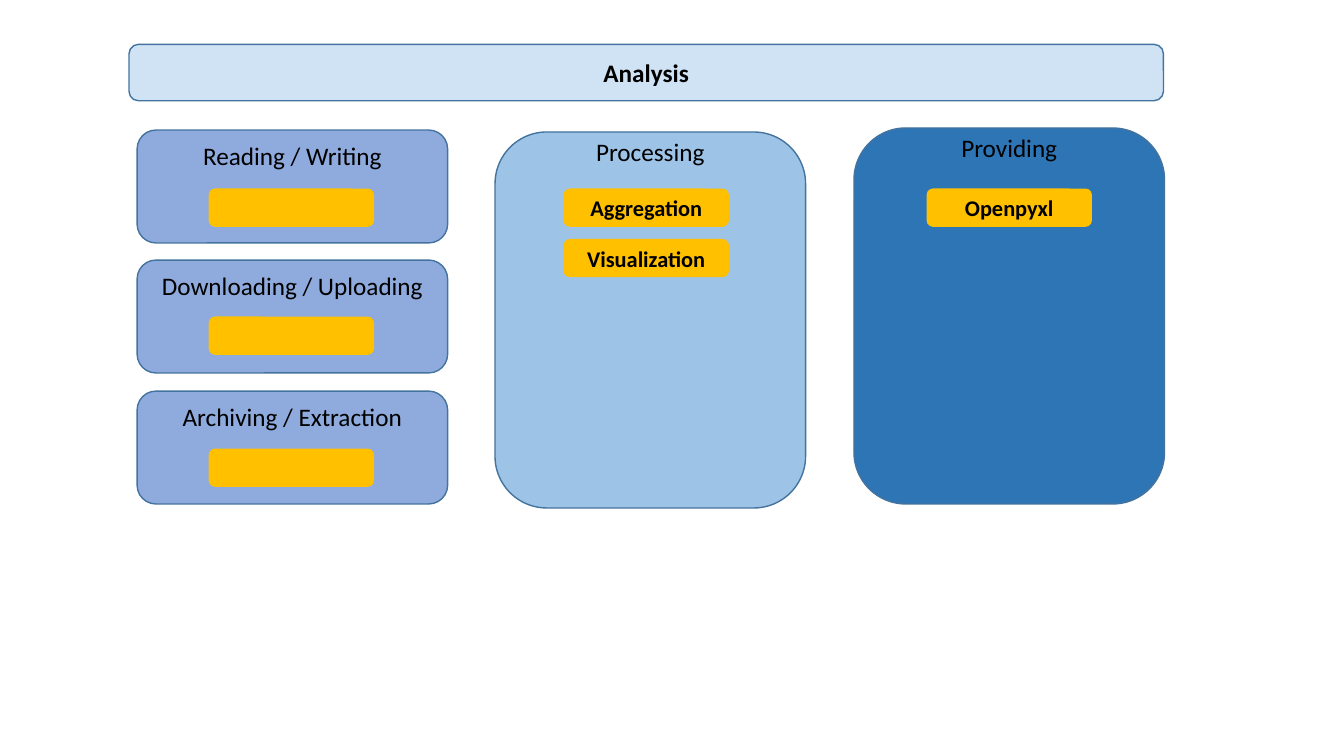
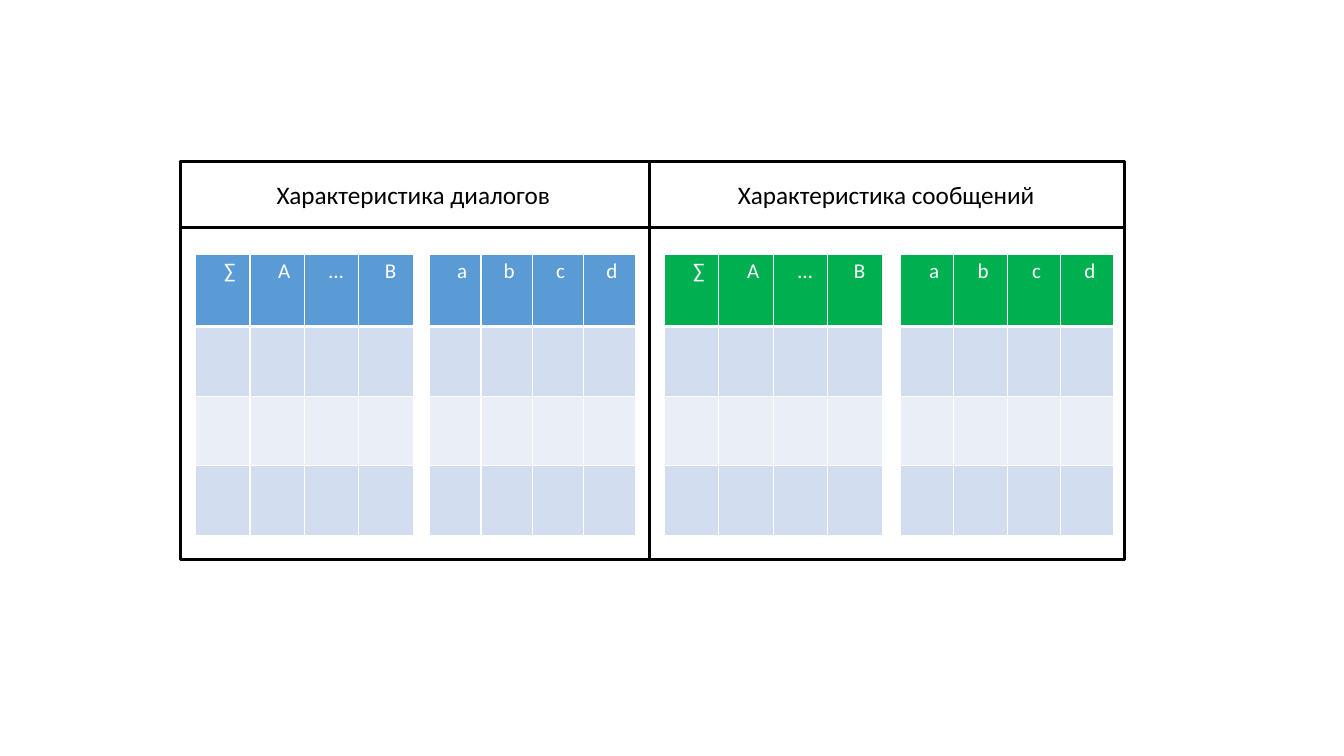
from lxml.etree import SubElement as Sub
from pptx import Presentation
from pptx.dml.color import RGBColor as Rgb
from pptx.enum.shapes import MSO_SHAPE as Kind
from pptx.enum.text import MSO_ANCHOR as Anchor, PP_ALIGN as Align
from pptx.oxml.ns import qn
from pptx.util import Inches, Pt

HUES = {
    "black": "000000", "white": "FFFFFF", "edge": "43739E",
    "head": "D0E3F4", "card": "8FAADC", "sky": "9DC3E6", "deep": "2E75B6",
    "gold": "FFC000", "blue": "5B9BD5", "green": "00B050",
    "dark": "D2DEEF", "light": "EAEFF7",
}
BODY = {"name": "Calibri", "size": Pt(18), "bold": False}
TITLE = {**BODY, "bold": True}
CHIP = {**TITLE, "size": Pt(16)}
CELL = {**BODY, "size": Pt(15)}

WIDE = 3.08  # width of cards and panels
CARDS = [
    ("Reading / Writing", 1.29, 1.87),
    ("Downloading / Uploading", 2.58, 3.14),
    ("Archiving / Extraction", 3.88, 4.45),
]
PANELS = [
    ("Processing", 4.91, 1.31, "sky", 5.59, ["Aggregation", "Visualization"]),
    ("Providing", 8.47, 1.27, "deep", 9.19, ["Openpyxl"]),
]
# Header texts, each with its extra left margin
SUMS = [("∑", 0.14), ("A", 0.14), ("…", 0.09), ("B", 0.09)]
PARTS = [("a", 0.14), ("b", 0.05), ("c", 0.05), ("d", 0.05)]
GRIDS = [
    (1.94, 0.54, SUMS, "blue"), (4.26, 0.51, PARTS, "blue"),
    (6.59, 0.54, SUMS, "green"), (8.93, 0.53, PARTS, "green"),
]
ROWS = [0.72, 0.69, 0.69, 0.69]
BANDS = ["dark", "light", "dark"]


def hue(key):
    return Rgb.from_string(HUES[key])


def apply(item, form):
    for key, val in form.items():
        setattr(item, key, val)


def write(frame, text, font, color="black"):
    par = frame.paragraphs[0]
    par.alignment = Align.CENTER
    run = par.add_run()
    run.text = text
    apply(run.font, font)
    run.font.color.rgb = hue(color)


def box(slide, at, fill=None, line=None, width=1, kind=Kind.ROUNDED_RECTANGLE):
    shape = slide.shapes.add_shape(kind, *map(Inches, at))
    shape.shadow.inherit = False
    if fill:
        shape.fill.solid()
        shape.fill.fore_color.rgb = hue(fill)
    else:
        shape.fill.background()
    if line:
        shape.line.color.rgb = hue(line)
        shape.line.width = Pt(width)
    else:
        shape.line.fill.background()
    return shape


def label(slide, text, left, top, width):
    frame = slide.shapes.add_textbox(
        *map(Inches, (left, top, width, 0.4))).text_frame
    frame.word_wrap = True
    write(frame, text, BODY)


def chip(slide, left, top, text=None):
    shape = box(slide, (left, top, 1.64, 0.38), "gold")
    if text:
        write(shape.text_frame, text, CHIP)


def card(slide, text, top):
    frame = box(slide, (1.36, top, WIDE, 1.12), "card", "edge").text_frame
    apply(frame, {"vertical_anchor": Anchor.TOP, "margin_top": Inches(0.05)})
    write(frame, text, BODY)


def panel(slide, text, left, top, fill):
    box(slide, (left, top, WIDE, 3.73), fill, "edge")
    label(slide, text, left, top - 0.01, WIDE)


def paint(cell, fill, base=1):
    """Give a cell white borders, the lower one base points wide, and a fill."""
    props = cell._tc.get_or_add_tcPr()
    for side, width in zip("LRTB", (1, 1, 1, base)):
        line = Sub(props, qn(f"a:ln{side}"), w=str(Pt(width)))
        Sub(Sub(line, qn("a:solidFill")), qn("a:srgbClr"), val=HUES["white"])
    cell.fill.solid()
    cell.fill.fore_color.rgb = hue(fill)


def grid(slide, left, width, heads, fill):
    cols = len(heads)
    size = (left, 2.52, width * cols, sum(ROWS))
    table = slide.shapes.add_table(len(ROWS), cols, *map(Inches, size)).table
    for col in table.columns:
        col.width = Inches(width)
    for row, high in zip(table.rows, ROWS):
        row.height = Inches(high)
    for col, (text, shift) in enumerate(heads):
        cell = table.cell(0, col)
        paint(cell, fill, 3)
        apply(cell, {
            "margin_left": Inches(0.08 + shift), "margin_right": Inches(0.08),
            "margin_top": Inches(0.04), "margin_bottom": Inches(0.04),
        })
        write(cell.text_frame, text, CELL, "white")
        for row, band in enumerate(BANDS, 1):
            paint(table.cell(row, col), band)


def flow(slide):
    head = box(slide, (1.28, 0.44, 10.26, 0.56), "head", "edge")
    write(head.text_frame, "Analysis", TITLE)
    for text, top, low in CARDS:
        card(slide, text, top)
        chip(slide, 2.07, low)
    for text, left, top, fill, inner, chips in PANELS:
        panel(slide, text, left, top, fill)
        for num, name in enumerate(chips):
            chip(slide, inner, 1.87 + 0.5 * num, name)


def traits(slide):
    frames = [(1.79, 1.6, 9.36, 3.95), (1.79, 1.6, 9.36, 0.66),
              (6.44, 1.6, 4.71, 3.95)]
    for at in frames:
        box(slide, at, line="black", width=2.25, kind=Kind.RECTANGLE)
    for spot in GRIDS:
        grid(slide, *spot)
    label(slide, "Характеристика диалогов", 2.22, 1.73, 3.76)
    label(slide, "Характеристика сообщений", 6.91, 1.73, 3.76)


def main():
    deck = Presentation()
    apply(deck, {"slide_width": Inches(13.33), "slide_height": Inches(7.5)})
    for draw in (flow, traits):
        draw(deck.slides.add_slide(deck.slide_layouts[6]))
    deck.save("out.pptx")


if __name__ == "__main__":
    main()
